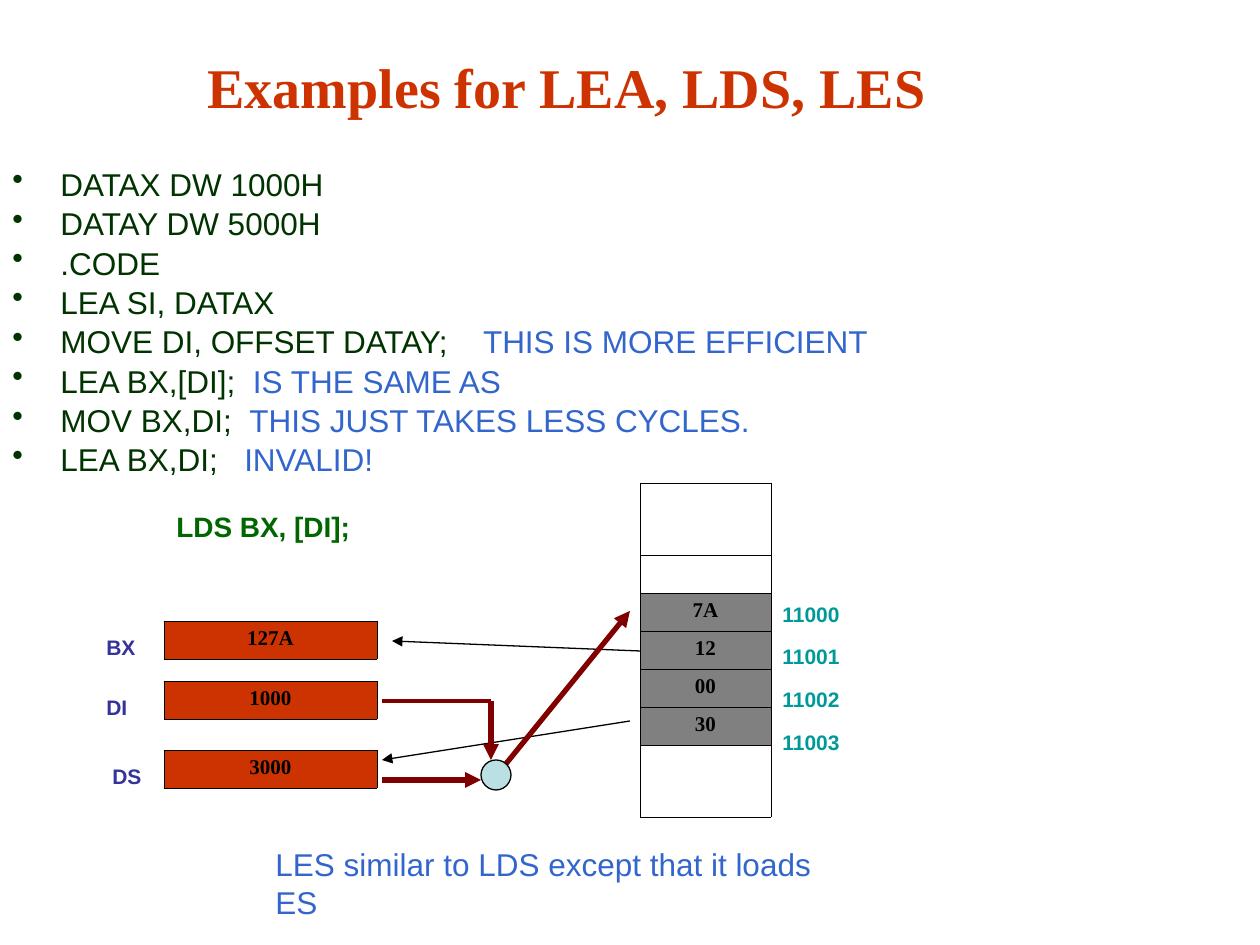
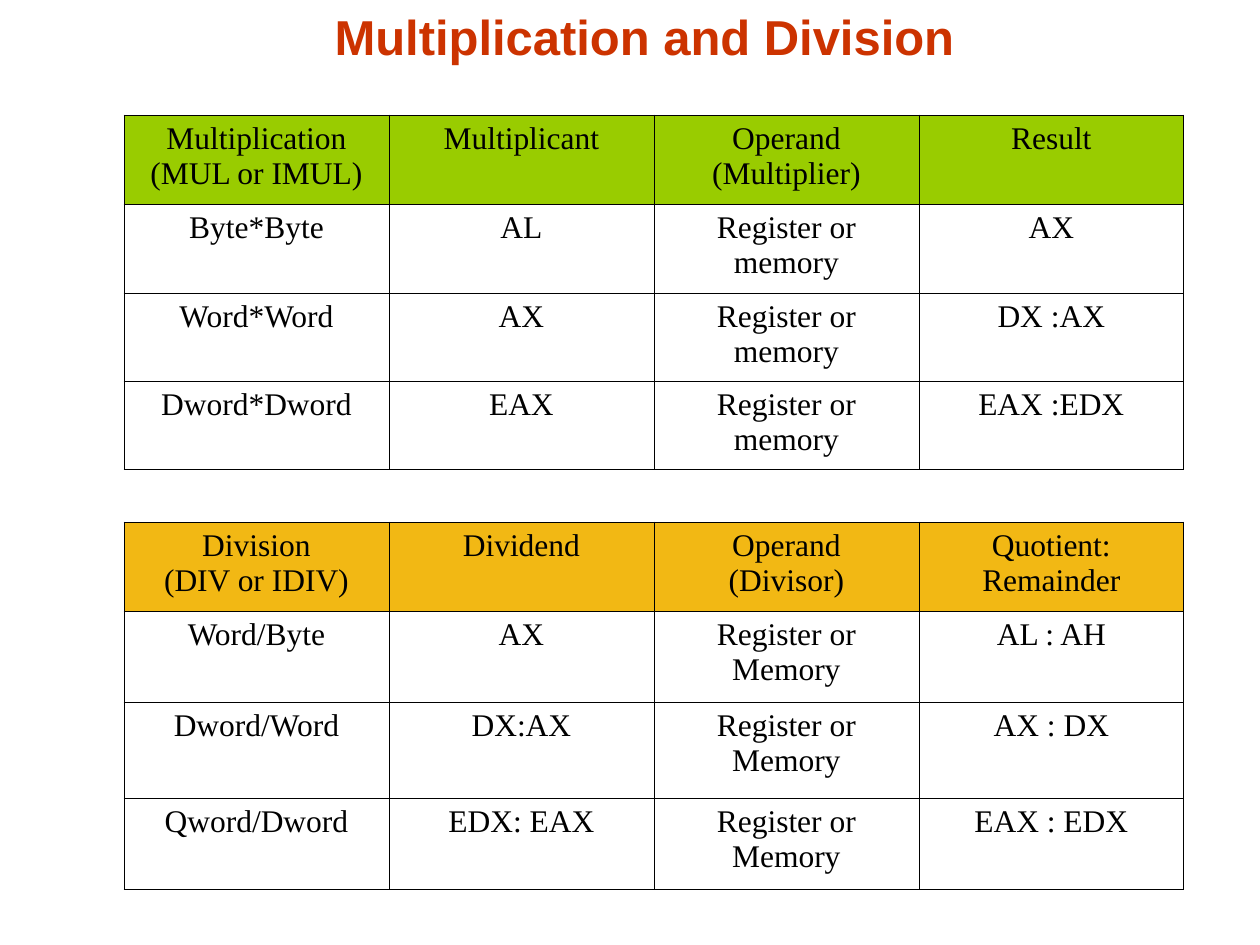
import pptx
import pptx.dml.color
import pptx.enum.shapes
import pptx.enum.text
import pptx.oxml.ns
import pptx.util
from lxml import etree

PX = 7257  # EMU in one px, 126 px to the inch
SANS, SERIF = "Arial", "Times New Roman"
COLORS = {
    "title": "CC3300", "code": "003300", "comment": "3366CC", "instruction": "006600",
    "register": "333399", "address": "009999", "register_fill": "CC3300",
    "memory_fill": "808080", "white": "FFFFFF", "black": "000000",
    "pointer": "800000", "adder": "BBE0E3",
    "multiplication": "99CC00", "division": "F2B814",
}
RGB = {name: pptx.dml.color.RGBColor.from_string(value) for name, value in COLORS.items()}
LEFT, CENTER = pptx.enum.text.PP_ALIGN.LEFT, pptx.enum.text.PP_ALIGN.CENTER
qn = pptx.oxml.ns.qn


def add_text(slide, box, lines, size, color, font=SANS, bold=False, align=LEFT, wrap=False, gap=0):
    """Add a text box with one paragraph per line and a gap in points between them."""
    frame = slide.shapes.add_textbox(*(v * PX for v in box)).text_frame
    frame.word_wrap = wrap
    frame.text = "\n".join(lines)
    for number, paragraph in enumerate(frame.paragraphs):
        paragraph.alignment = align
        if number and gap:
            paragraph.space_before = pptx.util.Pt(gap)
        paragraph.font.size = pptx.util.Pt(size)
        paragraph.font.name = font
        paragraph.font.bold = bold
        paragraph.font.color.rgb = RGB[color]
    return frame


def add_grid(slide, left, top, width, heights, rows, fills, size, bold=False):
    """Add a table with equal columns, thin black borders and one fill per row."""
    columns = len(rows[0])
    table = slide.shapes.add_table(len(rows), columns, left * PX, top * PX,
                                   width * columns * PX, sum(heights) * PX).table
    table.first_row = table.horz_banding = False
    for column in table.columns:
        column.width = width * PX
    for row, height, texts, fill in zip(table.rows, heights, rows, fills):
        row.height = height * PX
        for cell, text in zip(row.cells, texts):
            properties = cell._tc.get_or_add_tcPr()
            for side in ("lnL", "lnR", "lnT", "lnB"):
                border = etree.SubElement(properties, qn("a:" + side), w="5715")
                solid = etree.SubElement(border, qn("a:solidFill"))
                etree.SubElement(solid, qn("a:srgbClr"), val=COLORS["black"])
            if fill:
                cell.fill.solid()
                cell.fill.fore_color.rgb = RGB[fill]
            else:
                cell.fill.background()
            cell.text = text
            for paragraph in cell.text_frame.paragraphs:
                paragraph.alignment = CENTER
                paragraph.font.size = pptx.util.Pt(size)
                paragraph.font.name = SERIF
                paragraph.font.bold = bold
                paragraph.font.color.rgb = RGB["black"]
                if not text:
                    etree.SubElement(paragraph._p, qn("a:endParaRPr"), sz=str(size * 100))


deck = pptx.Presentation()
deck.slide_width, deck.slide_height = pptx.util.Inches(10), pptx.util.Inches(7.5)
blank = deck.slide_layouts[6]

# Slide 1: address-loading instructions
loading = deck.slides.add_slide(blank)
heading = add_text(loading, (0, 38, 1134, 157), ["Examples for LEA, LDS, LES"], 32, "title",
                   SERIF, bold=True, align=CENTER, wrap=True)
heading.margin_top = 15 * PX

# Code, comment, and the extra width in points of the space between them
listing = [
    ("DATAX DW 1000H", "", 0),
    ("DATAY DW 5000H", "", 0),
    (".CODE", "", 0),
    ("LEA SI, DATAX", "", 0),
    ("MOVE DI, OFFSET DATAY;", "THIS IS MORE EFFICIENT", 15),
    ("LEA BX,[DI];", "IS THE SAME AS", 5),
    ("MOV BX,DI;", "THIS JUST TAKES LESS CYCLES.", 5),
    ("LEA BX,DI;", "INVALID!", 10),
]
program = add_text(loading, (0, 166, 968, 624), [code for code, _, _ in listing], 18, "code",
                   wrap=True, gap=5.2)
for paragraph, (_, comment, extra) in zip(program.paragraphs, listing):
    paragraph.line_spacing = 0.8
    properties = paragraph._p.get_or_add_pPr()
    properties.set("marL", str(48 * PX))
    properties.set("indent", str(-48 * PX))
    bullet = etree.Element(qn("a:buChar"), char="•")
    properties.find(qn("a:defRPr")).addprevious(bullet)
    if comment:
        space = paragraph.add_run()
        space.text = " "
        space.font._element.set("spc", str(extra * 100))
        remark = paragraph.add_run()
        remark.text = comment
        remark.font.color.rgb = RGB["comment"]

add_text(loading, (263, 839, 611, 50), ["LES similar to LDS except that it loads ES"], 18, "comment")
add_text(loading, (164, 503, 199, 81), ["LDS BX, [DI];"], 16, "instruction", bold=True)

for name, value, label_left, top in [("BX", "127A", 94, 621), ("DI", "1000", 94, 681),
                                     ("DS", "3000", 100, 750)]:
    add_grid(loading, 164, top, 213, [38], [[value]], ["register_fill"], 12, bold=True)
    add_text(loading, (label_left, top + 7, 60, 63), [name], 12, "register", bold=True)

memory = ["", "", "7A", "12", "00", "30", ""]
add_grid(loading, 640, 483, 131, [72] + [38] * 5 + [72], [[byte] for byte in memory],
         ["memory_fill" if byte else "white" for byte in memory], 12, bold=True)
add_text(loading, (770, 595, 183, 164), ["11000", "11001", "11002", "11003"], 12, "address",
         bold=True, gap=10)

STRAIGHT = pptx.enum.shapes.MSO_CONNECTOR.STRAIGHT
ELBOW = pptx.enum.shapes.MSO_CONNECTOR.ELBOW
data_paths = [
    (STRAIGHT, (640, 651, 392, 641), "black", 0.75, True),
    (STRAIGHT, (630, 721, 382, 760), "black", 0.75, True),
    (ELBOW, (484, 789, 484, 789), "black", 0.75, True),
    (STRAIGHT, (501, 770, 630, 611), "pointer", 3, True),
    (STRAIGHT, (382, 780, 481, 780), "pointer", 3, True),
    (STRAIGHT, (382, 701, 491, 701), "pointer", 2.25, False),
    (STRAIGHT, (491, 701, 491, 760), "pointer", 3, True),
]
for kind, ends, color, weight, arrow in data_paths:
    data_path = loading.shapes.add_connector(kind, *(v * PX for v in ends))
    data_path.line.color.rgb = RGB[color]
    data_path.line.width = pptx.util.Pt(weight)
    if arrow:
        etree.SubElement(data_path.line._get_or_add_ln(), qn("a:tailEnd"), type="triangle")
    etree.SubElement(data_path._element.spPr, qn("a:effectLst"))

adder = loading.shapes.add_shape(pptx.enum.shapes.MSO_SHAPE.OVAL, 481 * PX, 760 * PX, 30 * PX, 30 * PX)
adder.shadow.inherit = False
adder.fill.solid()
adder.fill.fore_color.rgb = RGB["adder"]
adder.line.color.rgb = RGB["black"]
adder.line.width = pptx.util.Pt(0.75)

# Slide 2: operand tables
arithmetic = deck.slides.add_slide(blank)
multiplication = [
    ["Multiplication\n(MUL or IMUL)", "Multiplicant", "Operand\n(Multiplier)", "Result"],
    ["Byte*Byte", "AL", "Register or memory", "AX"],
    ["Word*Word", "AX", "Register or memory", "DX :AX"],
    ["Dword*Dword", "EAX", "Register or memory", "EAX :EDX"],
]
division = [
    ["Division\n(DIV or IDIV)", "Dividend", "Operand\n(Divisor)", "Quotient: Remainder"],
    ["Word/Byte", "AX", "Register or Memory", "AL : AH"],
    ["Dword/Word", "DX:AX", "Register or Memory", "AX : DX"],
    ["Qword/Dword", "EDX: EAX", "Register or Memory", "EAX : EDX"],
]
for top, heights, rows, header in [(115, [89, 89, 88, 88], multiplication, "multiplication"),
                                   (522, [89, 91, 96, 91], division, "division")]:
    add_grid(arithmetic, 124, top, 265, heights, rows, [header, None, None, None], 18)
add_text(arithmetic, (223, 0, 843, 72), ["Multiplication and Division"], 28, "title",
         bold=True, align=CENTER, wrap=True)

deck.save("out.pptx")
